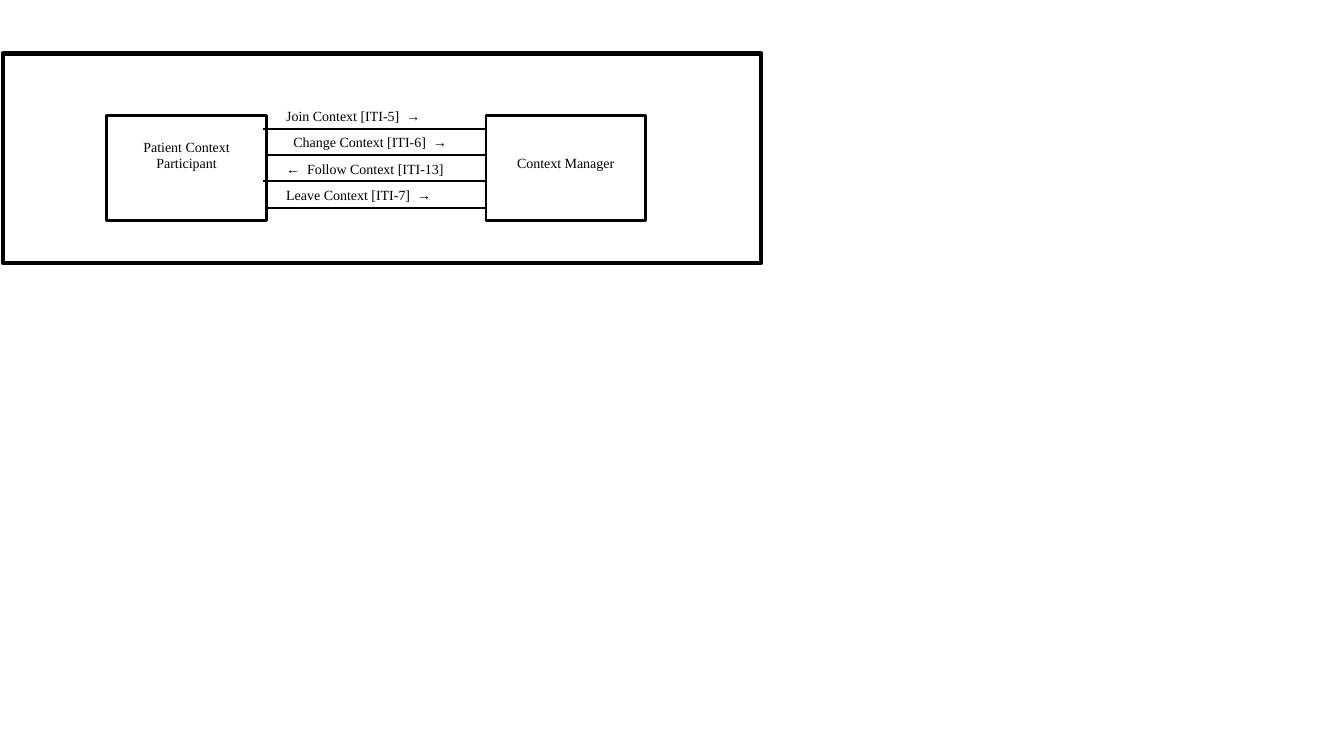
from pptx import Presentation
from pptx.dml.color import RGBColor
from pptx.enum.shapes import MSO_CONNECTOR as Connector, MSO_SHAPE as Shape
from pptx.enum.text import MSO_ANCHOR as Anchor, PP_ALIGN as Align
from pptx.oxml.ns import qn
from pptx.util import Emu, Pt
from lxml.etree import SubElement

BLACK = RGBColor(0, 0, 0)
WHITE = RGBColor(255, 255, 255)


def px(length):
    return Emu(length * 9144)


class Diagram:
    font_name = "Times New Roman"
    font_size = Pt(10)

    def __init__(self, page):
        self.page = page

    def add_text(self, box, text, align, left_inset=10, top_inset=5):
        frame = box.text_frame
        frame.word_wrap = True
        frame.vertical_anchor = Anchor.TOP
        frame.margin_left, frame.margin_right = px(left_inset), px(10)
        frame.margin_top, frame.margin_bottom = px(top_inset), px(5)
        para = frame.paragraphs[0]
        para.alignment = align
        span = para.add_run()
        span.text = text
        span.font.name = self.font_name
        span.font.size = self.font_size
        span.font.color.rgb = BLACK

    def frame(self, left, top, width, height, weight):
        box = self.page.shapes.add_shape(
            Shape.RECTANGLE, px(left), px(top), px(width), px(height))
        box.shadow.inherit = False
        box.fill.background()
        box.line.color.rgb = BLACK
        box.line.width = Pt(weight)
        return box

    def actor(self, text, left, top_inset):
        box = self.frame(left, 115, 158, 104, 2)
        box.fill.solid()
        box.fill.fore_color.rgb = WHITE
        self.add_text(box, text, Align.CENTER, top_inset=top_inset)

    def line(self, left, right, y):
        line = self.page.shapes.add_connector(
            Connector.STRAIGHT, px(left), px(y), px(right), px(y))
        line.line.color.rgb = BLACK
        line.line.width = Pt(1.5)
        SubElement(line._element.spPr, qn("a:effectLst"))

    def label(self, text, left, top, width, height, left_inset):
        box = self.page.shapes.add_textbox(
            px(left), px(top), px(width), px(height))
        self.add_text(box, text, Align.LEFT, left_inset)


def main():
    deck = Presentation()
    deck.slide_width, deck.slide_height = px(1333), px(750)
    diagram = Diagram(deck.slides.add_slide(deck.slide_layouts[6]))

    row_height = 26
    first_top = 102
    transactions = [
        ("Join Context [ITI-5]  →", 156, 10),
        ("Change Context [ITI-6]  →", 195, 17),
        ("←  Follow Context [ITI-13]", 208, 10),
        ("Leave Context [ITI-7]  →", 182, 10),
    ]

    def draw_lines(rows):
        for row in rows:
            diagram.line(261, 482, first_top + (row + 1) * row_height)

    diagram.frame(3, 53, 752, 208, 3)
    draw_lines((1, 3))
    diagram.actor("Patient Context Participant", 106, 22)
    diagram.actor("Context Manager", 482, 38)
    draw_lines((0, 2))
    for row, (text, width, left_inset) in enumerate(transactions):
        diagram.label(text, 274, first_top + row * row_height,
                      width, row_height, left_inset)

    deck.save("out.pptx")


if __name__ == "__main__":
    main()
